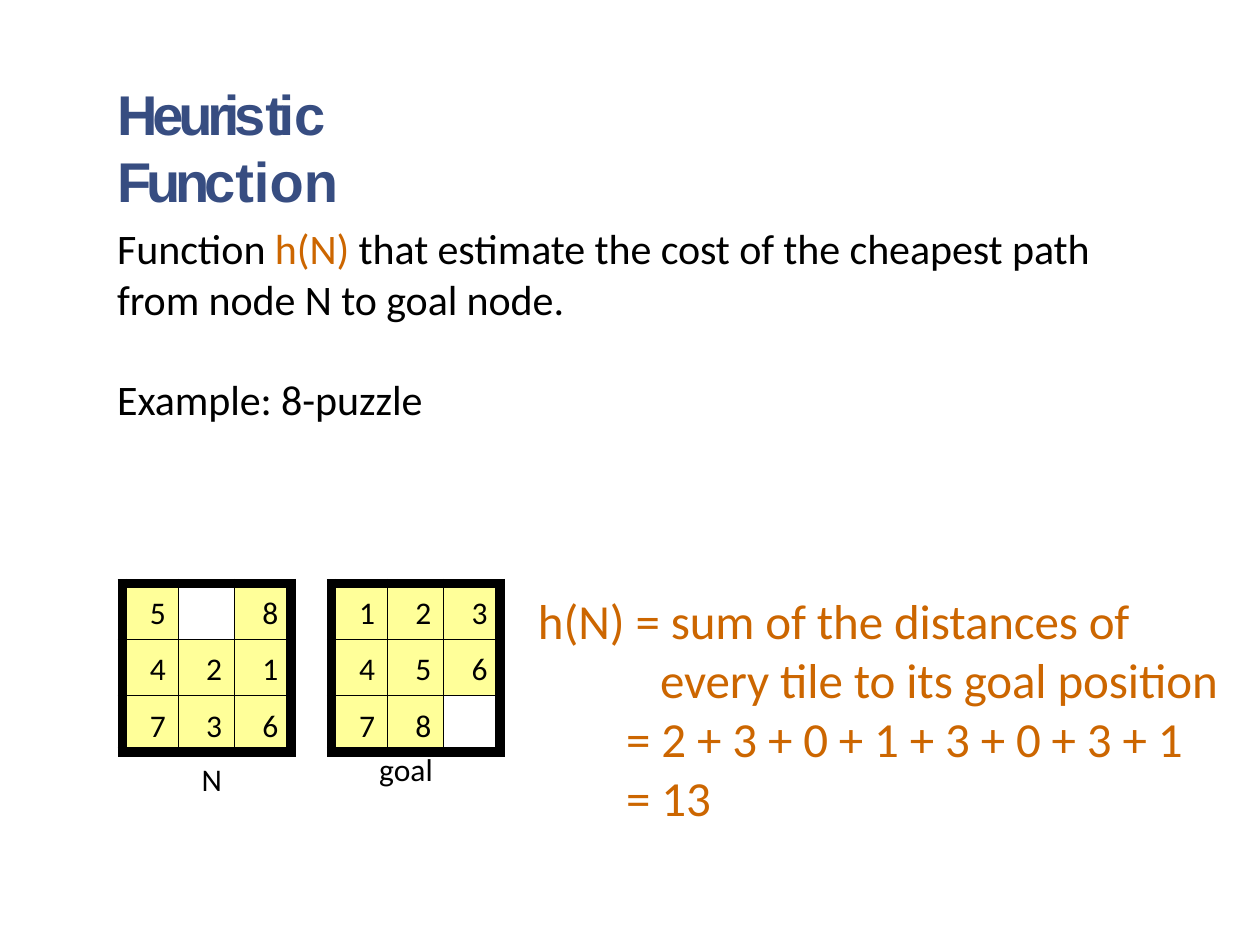
from lxml import etree
from pptx import Presentation
from pptx.dml.color import RGBColor
from pptx.enum.text import PP_ALIGN
from pptx.oxml.ns import qn
from pptx.util import Inches, Pt

RIGHT = PP_ALIGN.RIGHT
BLACK = RGBColor(0x00, 0x00, 0x00)
NAVY = RGBColor(0x37, 0x4D, 0x81)
ORANGE = RGBColor(0xCC, 0x66, 0x00)
YELLOW = RGBColor(0xFF, 0xFF, 0x99)
THICK, THIN = 6, 0.75


class SlideBuilder:
    font = "Calibri"

    def __init__(self, slide):
        self.slide = slide

    def style(self, r, size, color=BLACK, bold=False, font=None, spacing=0):
        r.font.name = font or self.font
        r.font.size = Pt(size)
        r.font.bold = bold
        r.font.color.rgb = color
        if spacing:
            r.font._element.set("spc", str(round(spacing * 100)))

    def text(self, left, top, width, height, paragraphs, size, **style):
        """Each paragraph is (runs, left margin, first indent, space before);
        each run is (text, style overrides)."""
        sp = self.slide.shapes.add_textbox(
            Inches(left), Inches(top), Inches(width), Inches(height))
        tf = sp.text_frame
        tf.word_wrap = True
        tf.margin_left = tf.margin_top = Inches(0.01)
        tf.margin_right = tf.margin_bottom = 0
        for i, (runs, margin, indent, before) in enumerate(paragraphs):
            p = tf.paragraphs[0] if i == 0 else tf.add_paragraph()
            pPr = p._p.get_or_add_pPr()
            pPr.set("marL", str(Inches(margin)))
            pPr.set("indent", str(Inches(indent)))
            if before:
                p.space_before = Pt(before)
            for text, overrides in runs:
                r = p.add_run()
                r.text = text
                self.style(r, size, **{**style, **overrides})

    def label(self, left, top, width, text):
        self.text(left, top, width, 0.33, [([(text, {})], 0, 0, 0)], 18)

    def border(self, cell, widths):
        """Draws black cell borders; widths are left, right, top, bottom."""
        tcPr = cell._tc.get_or_add_tcPr()
        for i, (side, width) in enumerate(zip("LRTB", widths)):
            ln = etree.Element(qn(f"a:ln{side}"), w=str(Pt(width)))
            fill = etree.SubElement(ln, qn("a:solidFill"))
            etree.SubElement(fill, qn("a:srgbClr"), val=str(BLACK))
            tcPr.insert(i, ln)

    def puzzle(self, left, top, size, rows):
        """Draws a square board of tiles; a space marks the empty position."""
        n = len(rows)
        table = self.slide.shapes.add_table(
            n, n, Inches(left), Inches(top), Inches(size), Inches(size)).table
        table.first_row = table.horz_banding = False
        for i, row in enumerate(rows):
            table.rows[i].height = table.columns[i].width = Inches(size / n)
            for j, tile in enumerate(row):
                cell = table.cell(i, j)
                cell.margin_left = cell.margin_bottom = 0
                cell.margin_top = Inches(0.09)
                cell.margin_right = Inches(0.1)
                if tile == " ":
                    cell.fill.background()
                else:
                    cell.fill.solid()
                    cell.fill.fore_color.rgb = YELLOW
                    p = cell.text_frame.paragraphs[0]
                    p.text = tile
                    p.alignment = RIGHT
                    self.style(p.runs[0], 18)
                outer = (j == 0, j == n - 1, i == 0, i == n - 1)
                self.border(cell, [THICK if edge else THIN for edge in outer])


def main():
    prs = Presentation()
    prs.slide_width, prs.slide_height = Inches(10), Inches(7.5)
    s = SlideBuilder(prs.slides.add_slide(prs.slide_layouts[6]))

    tight, tighter = {"spacing": -3}, {"spacing": -3.1}
    title = [("Heuris", tight), ("ti", tighter), ("c ", {}), ("Func", tight),
             ("t", tighter), ("i", tight), ("o", tighter), ("n", {})]
    s.text(0.92, 0.62, 3.21, 0.56, [(title, 0, 0, 0)], 32,
           color=NAVY, bold=True, font="Arial")

    definition = [("Function ", {}), ("h(N) ", {"color": ORANGE}),
                  ("that estimate the cost of the cheapest path", {})]
    s.text(0.92, 1.76, 7.81, 1.63, [
        (definition, 0, 0, 0),
        ([("from node N to goal node.", {})], 0, 0, 0),
        ([("Example: 8-puzzle", {})], 0, 0, 28.7),
    ], 24, spacing=-0.05)

    s.puzzle(2.63, 4.63, 1.34, ["123", "456", "78 "])
    s.puzzle(0.97, 4.63, 1.34, ["5 8", "421", "736"])
    s.label(1.59, 6.02, 0.19, "N")
    s.label(3, 5.94, 0.45, "goal")

    heuristic = "h(N) = sum of the distances of every tile to its goal position"
    s.text(4.25, 4.68, 5.45, 1.89, [
        ([(heuristic, {})], 0.98, -0.97, 0),
        ([("= 2 + 3 + 0 + 1 + 3 + 0 + 3 + 1", {})], 0.71, 0, 0),
        ([("= 13", {})], 0.71, 0, 0),
    ], 28, color=ORANGE, spacing=-0.05)

    prs.save("out.pptx")


if __name__ == "__main__":
    main()
